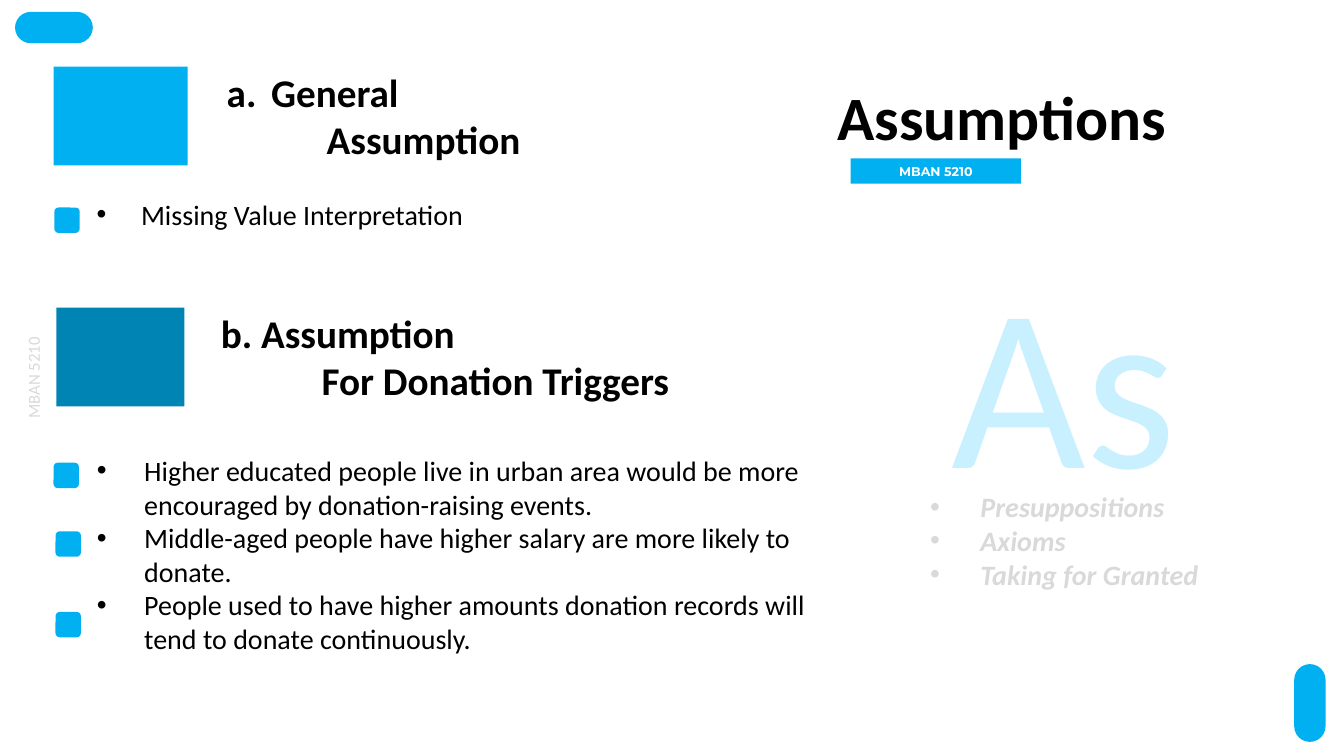
from lxml import etree
from pptx import Presentation
from pptx.dml.color import RGBColor
from pptx.enum.shapes import MSO_SHAPE
from pptx.enum.text import MSO_ANCHOR, MSO_AUTO_SIZE, PP_ALIGN
from pptx.oxml.ns import qn
from pptx.util import Cm, Pt

RECT, ROUND = MSO_SHAPE.RECTANGLE, MSO_SHAPE.ROUNDED_RECTANGLE
LEFT, CENTER = PP_ALIGN.LEFT, PP_ALIGN.CENTER
TOP, MIDDLE = MSO_ANCHOR.TOP, MSO_ANCHOR.MIDDLE
NO_FIT = MSO_AUTO_SIZE.NONE
COMPARISON_LAYOUT = 4

COLORS = {
    "blue": "00B0F0",
    "deep": "0084B4",
    "pale": "C9F0FE",
    "gray": "D9D9D9",
    "black": "000000",
    "white": "FFFFFF",
}


def rgb(name):
    """Return the named colour."""
    return RGBColor.from_string(COLORS[name])


def set_bullet(p, margin, hang, bullet, color):
    """Indent a paragraph (cm) and give it a dot, a letter or no bullet."""
    pPr = p._p.get_or_add_pPr()
    pPr.set("marL", str(Cm(margin)))
    pPr.set("indent", str(-Cm(hang)))
    if bullet is None:
        etree.SubElement(pPr, qn("a:buNone"))
        return
    clr = etree.SubElement(pPr, qn("a:buClr"))
    etree.SubElement(clr, qn("a:srgbClr"), val=COLORS[color])
    if bullet == "letter":
        etree.SubElement(pPr, qn("a:buFont"), typeface="+mj-lt")
        etree.SubElement(pPr, qn("a:buAutoNum"), type="alphaLcPeriod")
    else:
        etree.SubElement(pPr, qn("a:buFont"), typeface="Arial")
        etree.SubElement(pPr, qn("a:buChar"), char=bullet)


def write(s, text, size=20, color="black", font="Calibri", bold=False,
          italic=False, align=LEFT, anchor=TOP, indents=((0, 0, None),)):
    """Write lines into a shape; the last indent rule serves further lines."""
    tf = s.text_frame
    tf.word_wrap = True
    tf.auto_size = NO_FIT
    tf.vertical_anchor = anchor
    for i, line in enumerate(text.split("\n")):
        p = tf.paragraphs[0] if i == 0 else tf.add_paragraph()
        p.alignment = align
        p.line_spacing = 1.0
        p.space_before = p.space_after = Pt(0)
        margin, hang, bullet = indents[min(i, len(indents) - 1)]
        set_bullet(p, margin, hang, bullet, color)
        r = p.add_run()
        r.text = line
        r.font.name, r.font.size = font, Pt(size)
        r.font.bold, r.font.italic = bold, italic
        r.font.color.rgb = rgb(color)


def place(s, x, y, w, h):
    """Move and size a placeholder, in cm."""
    s.left, s.top, s.width, s.height = Cm(x), Cm(y), Cm(w), Cm(h)
    return s


def add_box(slide, x, y, w, h):
    """Add an empty text box, in cm."""
    return slide.shapes.add_textbox(Cm(x), Cm(y), Cm(w), Cm(h))


def add_block(slide, x, y, w, h, color="blue", kind=RECT, radius=None):
    """Add a plain filled shape, in cm."""
    s = slide.shapes.add_shape(kind, Cm(x), Cm(y), Cm(w), Cm(h))
    s.shadow.inherit = False
    s.fill.solid()
    s.fill.fore_color.rgb = rgb(color)
    s.line.fill.background()
    if radius is not None:
        s.adjustments[0] = radius
    return s


def add_decoration(slide):
    """Add the corner pills, heading blocks and list markers."""
    add_block(slide, 0.38, 0.3, 1.96, 0.79, kind=ROUND, radius=0.5)
    pill = add_block(slide, 32.03, 17.32, 1.96, 0.79, kind=ROUND, radius=0.5)
    pill.rotation = 90
    add_block(slide, 1.35, 1.68, 3.38, 2.49)
    add_block(slide, 1.42, 7.75, 3.23, 2.49, color="deep")
    for x, y in ((1.37, 5.23), (1.35, 11.66), (1.4, 13.39), (1.4, 15.42)):
        add_block(slide, x, y, 0.64, 0.64, kind=ROUND, radius=0.167)


def add_sections(slide):
    """Fill the two headings and their lists."""
    heading_a, list_a, heading_b, list_b = (
        slide.placeholders[i] for i in (1, 2, 3, 4))
    write(place(heading_a, 5.31, 1.6, 13.77, 2.64), "General\nAssumption",
          size=28, bold=True,
          indents=((1.27, 1.12, "letter"), (2.67, 0, None)))
    write(place(list_a, 2.03, 4.85, 13.77, 1.45),
          "Missing Value Interpretation", indents=((1.27, 1.12, "•"),))
    write(place(heading_b, 5.31, 7.67, 13.77, 2.64),
          "b. Assumption\nFor Donation Triggers", size=28, bold=True,
          indents=((0, 0, None), (2.54, 0, None)))
    write(place(list_b, 2.11, 11.3, 19.74, 6.4),
          "Higher educated people live in urban area would be more "
          "encouraged by donation-raising events.\n"
          "Middle-aged people have higher salary are more likely to donate.\n"
          "People used to have higher amounts donation records will "
          "tend to donate continuously.", indents=((1.27, 1.19, "•"),))


def add_side_panel(slide):
    """Fill the title, course tags, large letters and list of terms."""
    write(place(slide.shapes.title, 20.85, 1.85, 11.07, 2.13), "Assumptions",
          size=44, bold=True)
    write(add_block(slide, 21.44, 3.99, 4.29, 0.64), "MBAN 5210", size=9,
          color="white", font="Montserrat", bold=True, align=CENTER,
          anchor=MIDDLE)
    course = add_box(slide, -0.94, 9.14, 3.56, 0.76)
    course.rotation = 270
    write(course, "MBAN 5210", size=12, color="gray", align=CENTER)
    write(add_box(slide, 23.19, 5.82, 7.26, 7.34), "As", size=166,
          color="pale", align=CENTER)
    write(add_box(slide, 23.19, 12.22, 10.16, 2.82),
          "Presuppositions\nAxioms\nTaking for Granted", color="gray",
          bold=True, italic=True, indents=((1.27, 1.27, "•"),))


def main():
    """Build and save the slide."""
    prs = Presentation()
    prs.slide_width, prs.slide_height = Cm(33.87), Cm(19.05)
    slide = prs.slides.add_slide(prs.slide_layouts[COMPARISON_LAYOUT])
    add_decoration(slide)
    add_sections(slide)
    add_side_panel(slide)
    prs.save("out.pptx")


main()
